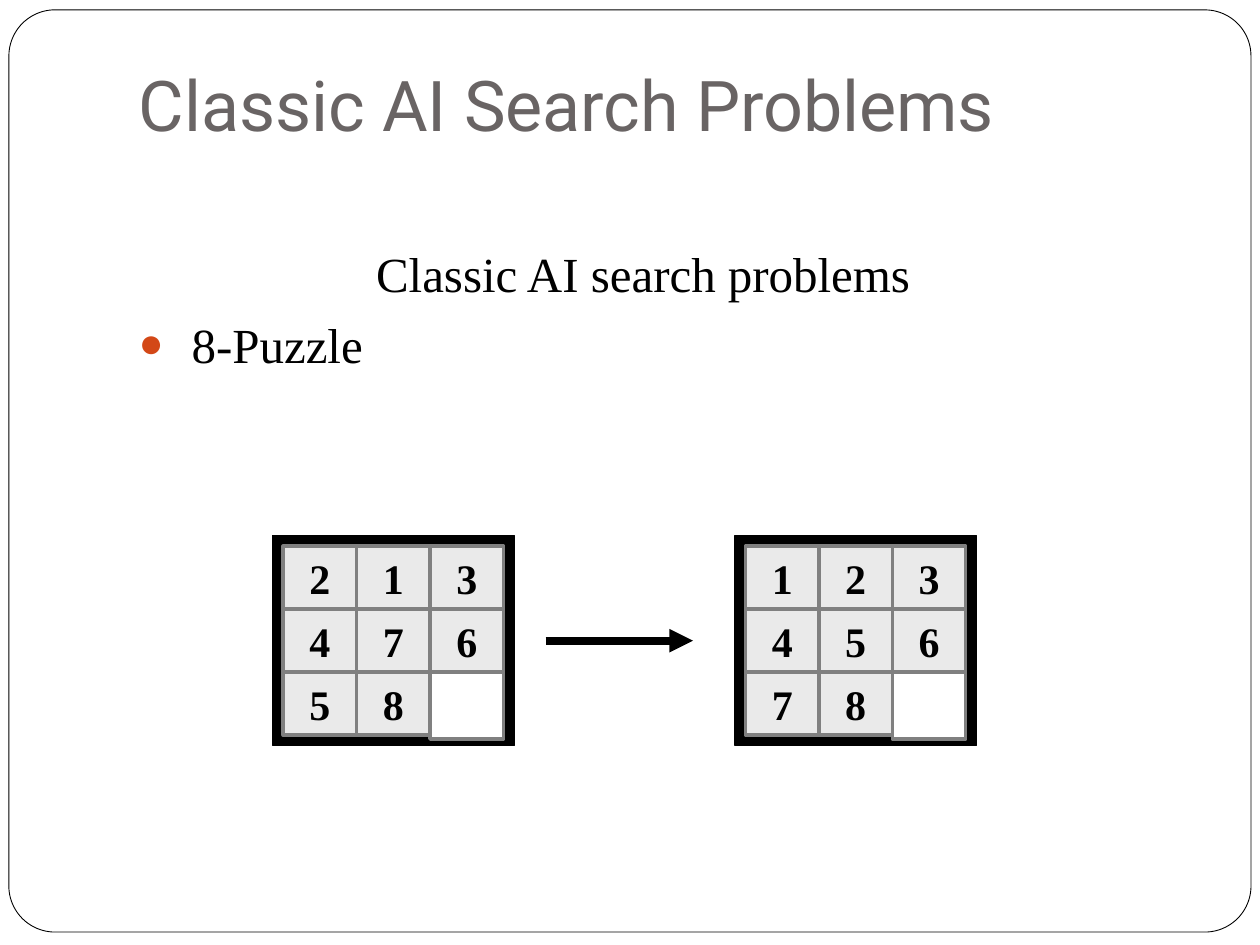
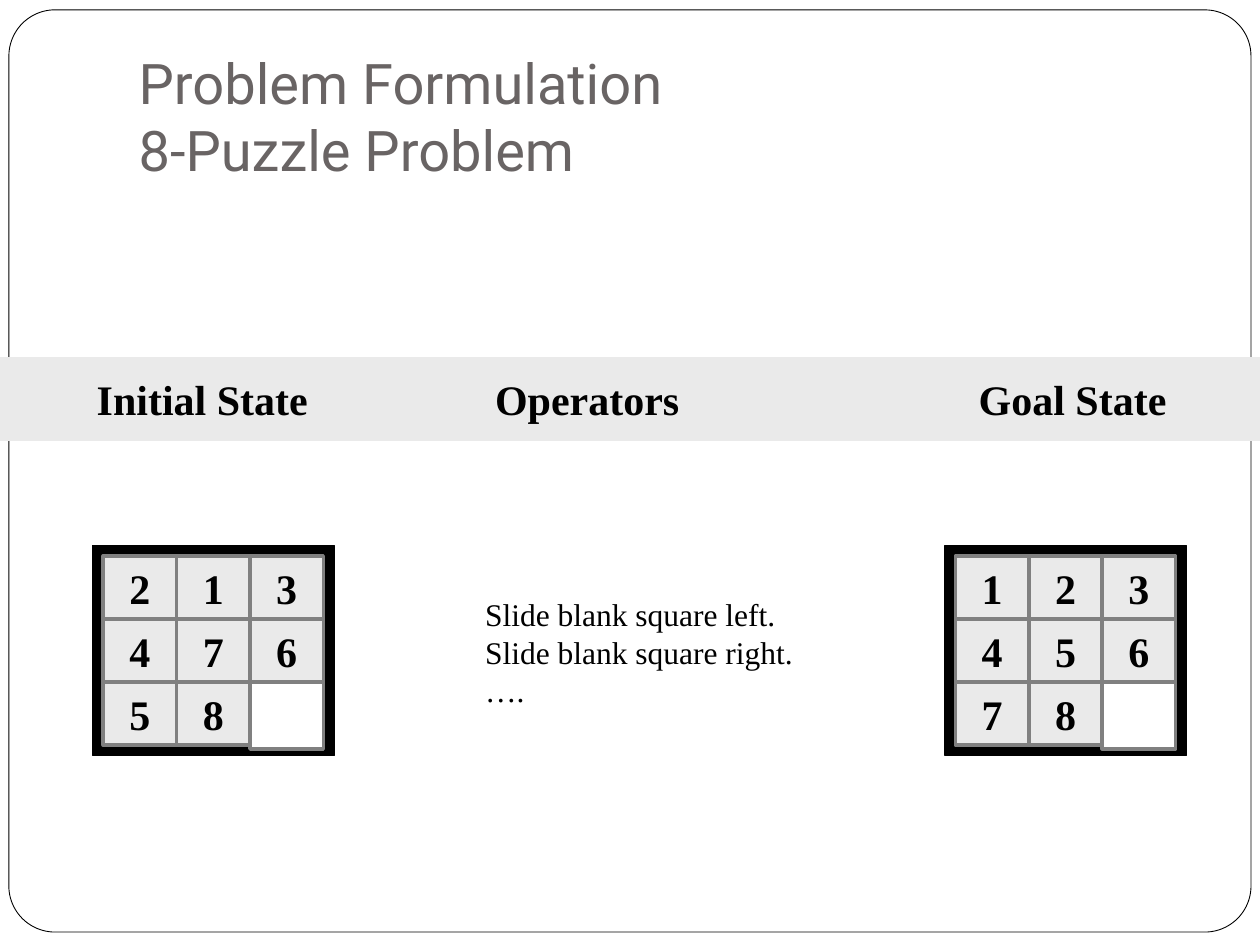
from lxml import etree
from pptx import Presentation
from pptx import util as u
from pptx.dml.color import RGBColor
from pptx.enum import shapes, text
from pptx.oxml.ns import qn

SERIF, SANS = "Times New Roman", "Roboto"
BLACK, WHITE, PALE, GREY = "000000", "FFFFFF", "EAEAEA", "808080"
HEAD, DOT = "696464", "D34817"
WIDE, HIGH = 25.4, 19.05
BOARD_W, BOARD_H, RIM = 4.87, 4.23, 0.21
CELL_W, CELL_H, BLANK_H = 1.48, 1.27, 1.35
START = ["213", "476", "58 "]
GOAL = ["123", "456", "78 "]


def hue(code):
    return RGBColor.from_string(code)


def place(part, box):
    part.left, part.top, part.width, part.height = map(u.Cm, box)


def write(frame, lines, size=24, font=SERIF, color=BLACK, bold=False,
          align=text.PP_ALIGN.LEFT, anchor=text.MSO_ANCHOR.TOP, wrap=True):
    frame.word_wrap = wrap
    frame.auto_size = text.MSO_AUTO_SIZE.NONE
    frame.vertical_anchor = anchor
    for i, line in enumerate(lines):
        para = frame.add_paragraph() if i else frame.paragraphs[0]
        para.text = line
        para.alignment = align
        para.space_before = u.Pt(0)
        for run in para.runs:
            run.font.size = u.Pt(size)
            run.font.name = font
            run.font.bold = bold
            run.font.color.rgb = hue(color)


def shape(home, kind, box, fill, line=None, width=0.5):
    part = home.add_shape(kind, *map(u.Cm, box))
    part.shadow.inherit = False
    part.fill.solid()
    part.fill.fore_color.rgb = hue(fill)
    if line:
        part.line.color.rgb = hue(line)
        part.line.width = u.Pt(width)
    else:
        part.line.fill.background()
    return part


def bullet(para, mark=None):
    props = para._p.get_or_add_pPr()
    props.set("marL", str(u.Cm(1.07)))
    props.set("indent", str(u.Cm(-1.07)))
    if not mark:
        etree.SubElement(props, qn("a:buNone"))
        return
    tint = etree.SubElement(props, qn("a:buClr"))
    etree.SubElement(tint, qn("a:srgbClr"), val=DOT)
    etree.SubElement(props, qn("a:buSzPct"), val="85000")
    etree.SubElement(props, qn("a:buChar"), char=mark)


def base(deck, layout, title, box, size):
    slide = deck.slides.add_slide(deck.slide_layouts[layout])
    edge = shape(slide.shapes, shapes.MSO_SHAPE.ROUNDED_RECTANGLE,
                 (0.18, 0.2, 25.04, 18.59), WHITE, BLACK)
    edge.adjustments[0] = 0.05
    slide.shapes._spTree.insert(2, edge._element)
    head = slide.shapes.title
    place(head, box)
    write(head.text_frame, [title], size=size, font=SANS, color=HEAD,
          anchor=text.MSO_ANCHOR.BOTTOM)
    head.text_frame.margin_bottom = u.Cm(0.25)
    return slide


def board(slide, left, top, rows):
    home = slide.shapes.add_group_shape().shapes
    rect = shapes.MSO_SHAPE.RECTANGLE
    shape(home, rect, (left, top, BOARD_W, BOARD_H), BLACK, BLACK, 0.75)
    for r, row in enumerate(rows):
        for c, digit in enumerate(row):
            blank = digit == " "
            box = (left + RIM + c * CELL_W, top + RIM + r * CELL_H,
                   CELL_W, BLANK_H if blank else CELL_H)
            tile = shape(home, rect, box, WHITE if blank else PALE, GREY, 2)
            if not blank:
                write(tile.text_frame, [digit], bold=True,
                      align=text.PP_ALIGN.CENTER,
                      anchor=text.MSO_ANCHOR.MIDDLE)


def arrow(slide, left, right, y):
    line = slide.shapes.add_connector(
        shapes.MSO_CONNECTOR.STRAIGHT, *map(u.Cm, (left, y, right, y)))
    line.line.color.rgb = hue(BLACK)
    line.line.width = u.Pt(4.5)
    etree.SubElement(line.line._get_or_add_ln(), qn("a:tailEnd"),
                     type="triangle")
    etree.SubElement(line._element.spPr, qn("a:effectLst"))


def label(slide, box, lines, **form):
    note = slide.shapes.add_textbox(*map(u.Cm, box))
    write(note.text_frame, lines, wrap=False, **form)


def band(slide, top, height):
    shape(slide.shapes, shapes.MSO_SHAPE.RECTANGLE,
          (0, top, WIDE, height), PALE)
    for left, width, name in [(1.7, 4.75, "Initial State"),
                              (9.73, 4.22, "Operators"),
                              (19.48, 4.29, "Goal State")]:
        label(slide, (left, top, width, height), [name], bold=True,
              anchor=text.MSO_ANCHOR.MIDDLE)


def classic(deck):
    slide = base(deck, 1, "Classic AI Search Problems",
                 (2.54, 0.84, 21.64, 2.34), 40)
    body = slide.placeholders[1]
    place(body, (2.54, 4.65, 20.85, 3.71))
    frame = body.text_frame
    write(frame, ["Classic AI search problems", "8-Puzzle"], size=28)
    frame.margin_top = u.Cm(0.25)
    first, last = frame.paragraphs
    first.alignment = text.PP_ALIGN.CENTER
    last.space_before = u.Pt(7)
    bullet(first)
    bullet(last, "●")
    top = 10.8
    board(slide, 5.5, top, START)
    board(slide, 14.82, top, GOAL)
    arrow(slide, 11, 13.97, top + BOARD_H / 2)


def formal(deck):
    slide = base(deck, 5, "Problem Formulation\v8-Puzzle Problem",
                 (2.54, 0.76, 21.59, 3.18), 32)
    band(slide, 7.2, 1.69)
    top = 11
    board(slide, 1.87, top, START)
    label(slide, (9.53, 11.87, 6.7, 2.54),
          ["Slide blank square left.", "Slide blank square right.", "…."],
          size=18)
    board(slide, 19.05, top, GOAL)


def main():
    deck = Presentation()
    deck.slide_width, deck.slide_height = u.Cm(WIDE), u.Cm(HIGH)
    classic(deck)
    formal(deck)
    deck.save("out.pptx")


if __name__ == "__main__":
    main()
